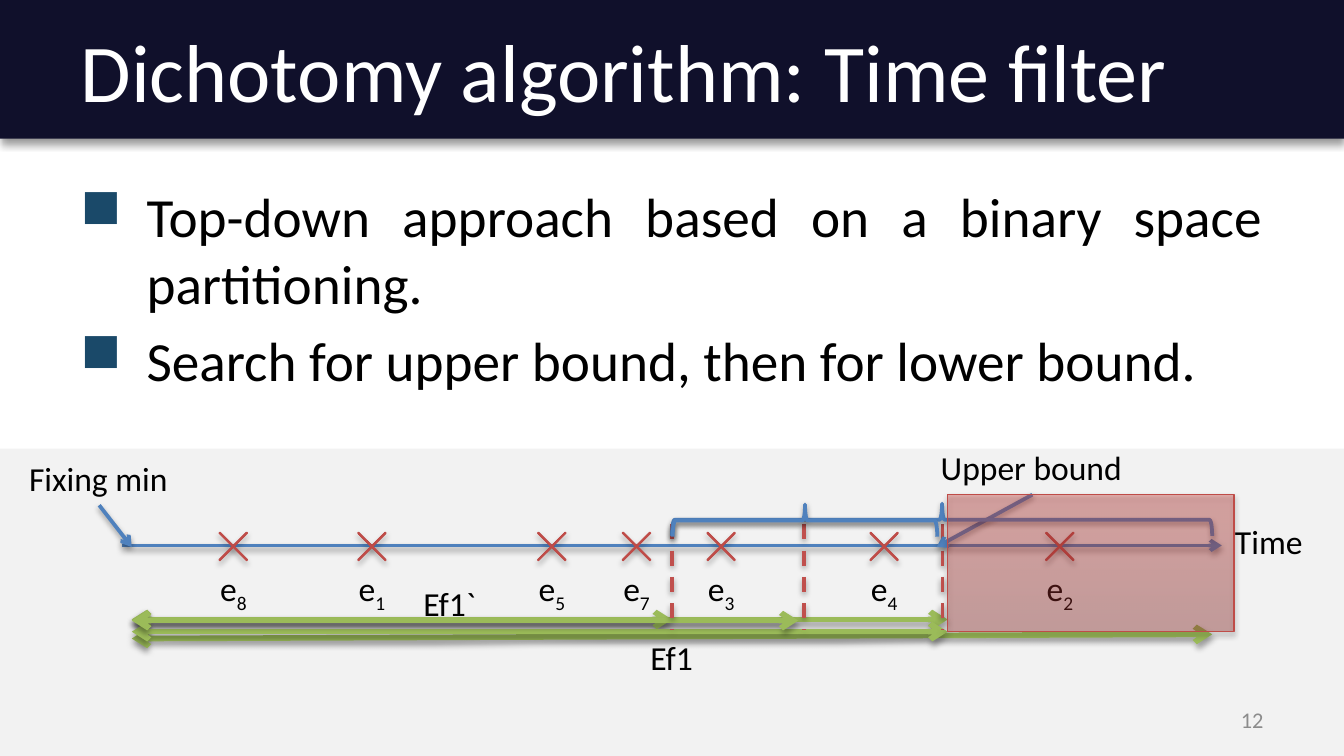
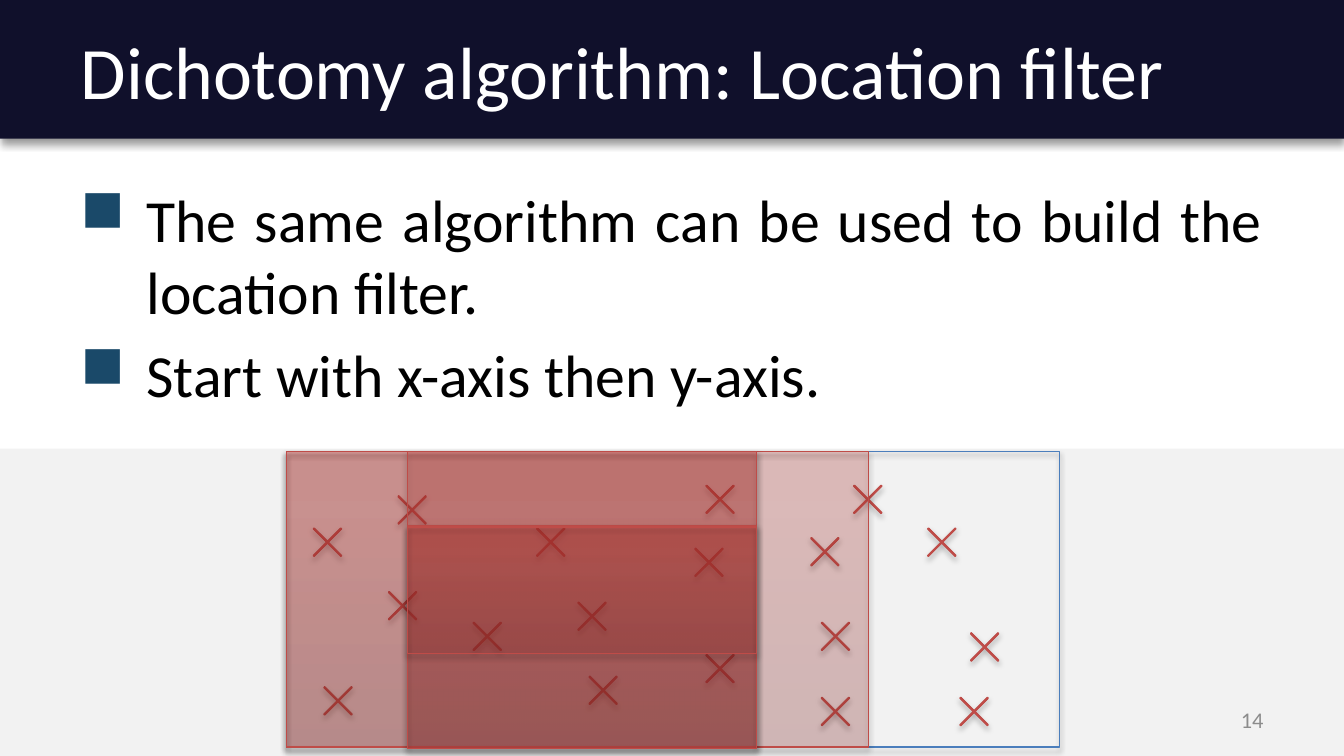
"""Build two slides on the dichotomy algorithm: time filter and location filter."""
from lxml import etree
from pptx import Presentation
from pptx.dml.color import RGBColor
from pptx.enum.dml import MSO_LINE
from pptx.enum.shapes import MSO_CONNECTOR, MSO_SHAPE
from pptx.enum.text import MSO_ANCHOR, MSO_AUTO_SIZE, PP_ALIGN
from pptx.oxml import parse_xml
from pptx.oxml.ns import nsdecls, qn
from pptx.util import Cm, Pt

RECT, CROSS, BRACE = MSO_SHAPE.RECTANGLE, MSO_SHAPE.MATH_MULTIPLY, MSO_SHAPE.RIGHT_BRACE
STRAIGHT, DASH = MSO_CONNECTOR.STRAIGHT, MSO_LINE.DASH
LEFT, RIGHT, JUSTIFY = PP_ALIGN.LEFT, PP_ALIGN.RIGHT, PP_ALIGN.JUSTIFY
TOP, MIDDLE = MSO_ANCHOR.TOP, MSO_ANCHOR.MIDDLE
FIT, FIXED = MSO_AUTO_SIZE.SHAPE_TO_FIT_TEXT, MSO_AUTO_SIZE.NONE

FONT = "Calibri"
C = {
    "navy": "10102B", "panel": "F2F2F2", "white": "FFFFFF", "black": "000000",
    "grey": "8C8C8C", "bullet": "1A4969", "blue": "4F81BD", "frame": "4B7EBC",
    "red": "C0504D", "edge": "BF4C48", "green": "9BBB59",
}
RED_STOPS = [(0, "9C2F2D"), (80, "CB3E3A"), (100, "CE3B37")]
SHAPE_SHADOW, LINE_SHADOW, BAND_SHADOW = (35, 3.1, 1.8), (38, 3.1, 1.6), (40, 4, 3)
CROSS_SIZE = 1


def write(s, text, box, sp=None, size=18, color="black", align=LEFT, anchor=TOP,
          wrap=False, bullet=False, sub=""):
    """Write text, one paragraph a line, into a new text box or the given shape."""
    x, y, w, h = map(Cm, box)
    if sp is None:
        sp = s.shapes.add_textbox(x, y, w, h)
    sp.left, sp.top, sp.width, sp.height = x, y, w, h
    tf = sp.text_frame
    tf.word_wrap, tf.vertical_anchor = wrap, anchor
    tf.auto_size = FIXED if wrap else FIT
    for i, line in enumerate(text.split("\n")):
        p = tf.add_paragraph() if i else tf.paragraphs[0]
        p.alignment = align
        if i:
            p.space_before = Pt(round(size * 0.2, 1))
        if bullet:
            pPr = p._p.get_or_add_pPr()
            pPr.set("marL", str(Cm(1.25)))
            pPr.set("indent", str(-Cm(1.25)))
            clr = etree.SubElement(pPr, qn("a:buClr"))
            etree.SubElement(clr, qn("a:srgbClr"), val=C["bullet"])
            etree.SubElement(pPr, qn("a:buChar"), char="■")
        for part in filter(None, (line, sub)):
            r = p.add_run()
            r.text = part
            r.font.name, r.font.size = FONT, Pt(size)
            r.font.color.rgb = RGBColor.from_string(C[color])
            if part == sub:
                r._r.get_or_add_rPr().set("baseline", "-25000")
    return sp


def style(sp, line=None, width=0.75, fill=None, red=None, dash=None, ends=(),
          shadow=SHAPE_SHADOW):
    """Set fill (solid, or red gradient at an opacity in percent), line and shadow."""
    spPr = sp._element.spPr
    if fill:
        sp.fill.solid()
        sp.fill.fore_color.rgb = RGBColor.from_string(C[fill])
    elif hasattr(sp, "fill"):
        sp.fill.background()
    if red:
        stops = "".join(
            f'<a:gs pos="{pos * 1000}"><a:srgbClr val="{rgb}">'
            f'<a:alpha val="{red * 1000}"/></a:srgbClr></a:gs>' for pos, rgb in RED_STOPS)
        grad = parse_xml(f'<a:gradFill {nsdecls("a")} rotWithShape="1"><a:gsLst>{stops}'
                         '</a:gsLst><a:lin ang="16200000" scaled="0"/></a:gradFill>')
        spPr.replace(spPr.find(qn("a:noFill")), grad)
    if line:
        sp.line.color.rgb = RGBColor.from_string(C[line])
        sp.line.width = Pt(width)
        if dash:
            sp.line.dash_style = dash
        for end in ends:
            etree.SubElement(spPr.find(qn("a:ln")), qn(f"a:{end}"), type="arrow")
    else:
        sp.line.fill.background()
    effects = etree.SubElement(spPr, qn("a:effectLst"))
    if shadow:
        alpha, blur, dist = shadow
        outer = etree.SubElement(effects, qn("a:outerShdw"), blurRad=str(Pt(blur)),
                                 dist=str(Pt(dist)), dir="5400000", rotWithShape="0")
        clr = etree.SubElement(outer, qn("a:srgbClr"), val=C["black"])
        etree.SubElement(clr, qn("a:alpha"), val=str(alpha * 1000))


prs = Presentation()
prs.slide_width, prs.slide_height = Cm(25.4), Cm(14.29)
layout = prs.slide_layouts[5]
for ph in list(layout.placeholders):
    if ph.placeholder_format.idx:
        ph._element.getparent().remove(ph._element)

pages = [
    ("Dichotomy algorithm: Time filter", 44, 29.6, "12",
     "Top-down approach based on a binary space partitioning.\n"
     "Search for upper bound, then for lower bound."),
    ("Dichotomy algorithm: Location filter", 39.6, 32, "14",
     "The same algorithm can be used to build the location filter.\n"
     "Start with x-axis then y-axis."),
]
for title, title_size, body_size, number, body in pages:
    s = prs.slides.add_slide(layout)
    write(s, title, (1.27, 0.13, 22.86, 2.39), sp=s.shapes.title, size=title_size,
          color="white", anchor=MIDDLE, wrap=True)
    write(s, body, (1.27, 3.33, 22.86, 5), size=body_size, align=JUSTIFY, wrap=True,
          bullet=True)
    write(s, number, (18.21, 13.23, 5.92, 0.76), size=12, color="grey", align=RIGHT,
          anchor=MIDDLE, wrap=True)
time_slide, location_slide = prs.slides

bands = [(0, 2.62, "navy", BAND_SHADOW), (8.48, 5.81, "panel", None)]
for top, height, fill, shadow in bands:
    sp = time_slide.shapes.add_shape(RECT, 0, Cm(top), prs.slide_width, Cm(height))
    style(sp, fill=fill, shadow=shadow)
    layout.shapes._spTree.insert(2, sp._element)

s = time_slide
events = [(3.91, "8"), (6.53, "1"), (9.93, "5"), (11.53, "7"), (13.13, "3"),
          (16.21, "4"), (19.53, "2")]
bounds = [12.7, 15.19, 17.81]
ranges = [(17.91, 11.71, 11.71), (12.7, 11.71, 11.71), (22.91, 12.07, 11.99),
          (17.91, 11.94, 11.94), (15.09, 11.73, 11.73)]
labels = [("Time", 23.09, 9.73, 1.8), ("Ef1", 12.04, 11.91, 1.35), ("Ef1`", 7.75, 10.9, 1.52)]
pointers = [("Fixing min", 0.3, 8.53, 3.15, 2.49), ("Upper bound", 17.53, 8.33, 3.96, 17.7)]
braces = [(17.5, 4.72, 10.21), (14.91, 7.34, 5)]

for end, y1, y2 in ranges:
    sp = s.shapes.add_connector(STRAIGHT, Cm(2.49), Cm(y1), Cm(end), Cm(y2))
    style(sp, "green", 3, ends=("headEnd", "tailEnd"))
axis = s.shapes.add_connector(STRAIGHT, Cm(2.31), Cm(10.31), Cm(23.09), Cm(10.31))
style(axis, "blue", 2, ends=("tailEnd",), shadow=LINE_SHADOW)
for x, index in events:
    sp = s.shapes.add_shape(CROSS, Cm(x), Cm(9.83), Cm(CROSS_SIZE), Cm(CROSS_SIZE))
    sp.adjustments[0] = 0.02
    style(sp, "edge", red=100)
    write(s, "e", (x, 10.62, 1.04, 1.02), sub=index)
for x in bounds:
    sp = s.shapes.add_connector(STRAIGHT, Cm(x), Cm(9.91), Cm(x), Cm(11.91))
    style(sp, "red", 2, dash=DASH, shadow=LINE_SHADOW)
for text, x, y, w in labels:
    write(s, text, (x, y, w, 1.02))
for text, x, y, w, target in pointers:
    label = write(s, text, (x, y, w, 1.02))
    sp = s.shapes.add_connector(STRAIGHT, Cm(x), Cm(y), Cm(target), Cm(10.34))
    sp.begin_connect(label, 2)
    style(sp, "blue", 2, ends=("tailEnd",), shadow=LINE_SHADOW)
for x, y, length in braces:
    sp = s.shapes.add_shape(BRACE, Cm(x), Cm(y), Cm(0.61), Cm(length))
    sp.rotation = 270
    style(sp, "blue", 2, shadow=LINE_SHADOW)
excluded = s.shapes.add_shape(RECT, Cm(17.91), Cm(9.35), Cm(5.41), Cm(2.59))
style(excluded, "edge", red=35)

s = location_slide
points = [
    (7.29, 9.14), (10.9, 12.55), (8.71, 11.53), (9.91, 9.75), (12.9, 10.13), (15.09, 9.93),
    (18.11, 11.73), (17.3, 9.75), (17.91, 12.95), (13.11, 12.14), (15.29, 11.53),
    (13.11, 8.94), (15.9, 8.94), (10.69, 11.15), (5.69, 9.75), (5.89, 12.75),
    (7.11, 10.95), (15.29, 12.95),
]
regions = [(5.41, 8.53, 11, 5.59), (5.41, 8.53, 8.89, 5.59), (7.7, 8.53, 6.6, 5.59),
           (7.7, 9.93, 6.6, 4.22), (7.7, 9.96, 6.6, 2.39)]

space = s.shapes.add_shape(RECT, Cm(5.41), Cm(8.53), Cm(14.61), Cm(5.59))
style(space, "frame")
for x, y in points:
    sp = s.shapes.add_shape(CROSS, Cm(x), Cm(y), Cm(CROSS_SIZE), Cm(CROSS_SIZE))
    sp.adjustments[0] = 0.02
    style(sp, "edge", red=100)
for region in regions:
    sp = s.shapes.add_shape(RECT, *map(Cm, region))
    style(sp, "edge", red=23)

prs.save("out.pptx")
